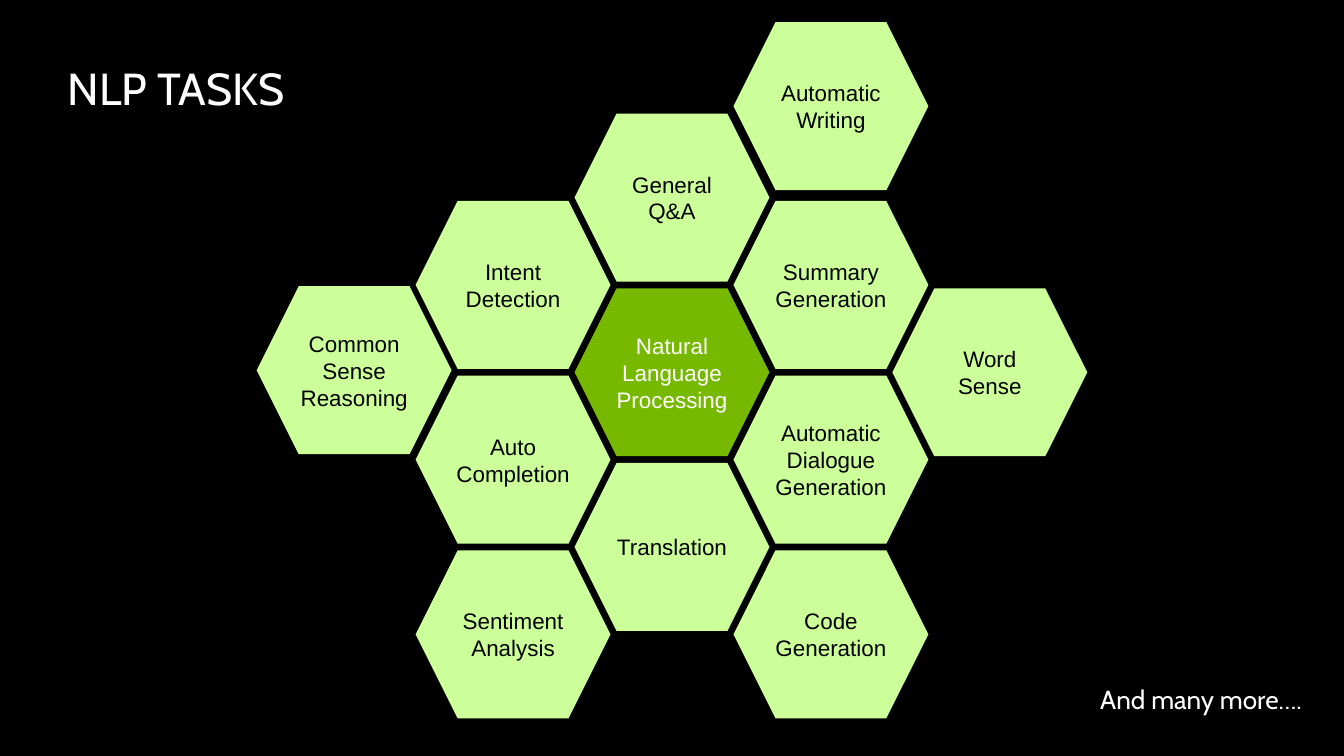
from pptx import Presentation
from pptx.dml.color import RGBColor as Rgb
from pptx.enum.shapes import MSO_SHAPE as Shape
from pptx.enum.text import MSO_ANCHOR as Anchor, MSO_AUTO_SIZE as Fit, PP_ALIGN as Align
from pptx.util import Inches, Pt

COLORS = {"back": "000000", "core": "76B900", "task": "CCFF99",
          "dark": "000000", "light": "FFFFFF"}

HEX_W, HEX_H = 2.9, 2.5
COL_STEP, ROW_STEP = 2.365, 1.3  # one column across, half a cell down

# label, columns and half rows from the core, small vertical shift
TASKS = [
    ("General Q&A", 0, -2, 0),
    ("Translation", 0, 2, 0),
    ("Summary Generation", 1, -1, 0),
    ("Automatic Dialogue Generation", 1, 1, 0),
    ("Intent Detection", -1, -1, 0),
    ("Auto Completion", -1, 1, 0),
    ("Word Sense", 2, 0, 0),
    ("Code Generation", 1, 3, 0),
    ("Common Sense Reasoning", -2, 0, -0.03),
    ("Automatic Writing", 1, -3, -0.06),
    ("Sentiment Analysis", -1, 3, 0),
]


def color(name):
    return Rgb.from_string(COLORS[name])


def write(shape, text, font, size, ink, align, anchor, spacing=None):
    frame = shape.text_frame
    frame.word_wrap = True
    frame.auto_size = Fit.NONE
    frame.vertical_anchor = anchor
    para = frame.paragraphs[0]
    para.text = text
    para.alignment = align
    if spacing:
        para.line_spacing = spacing
    para.font.name = font
    para.font.size = Pt(size)
    para.font.color.rgb = color(ink)


def add_cell(slide, text, left, top, fill, ink):
    cell = slide.shapes.add_shape(Shape.HEXAGON, Inches(left), Inches(top),
                                  Inches(HEX_W), Inches(HEX_H))
    cell.adjustments[0] = 0.25
    cell.shadow.inherit = False
    cell.fill.solid()
    cell.fill.fore_color.rgb = color(fill)
    cell.line.fill.background()
    write(cell, text, "Arial", 24, ink, Align.CENTER, Anchor.MIDDLE)


def add_comb(slide, left, top):
    """Place the core cell at left, top and the tasks around it."""
    add_cell(slide, "Natural Language Processing", left, top, "core", "light")
    for text, col, row, shift in TASKS:
        add_cell(slide, text, left + col * COL_STEP,
                 top + row * ROW_STEP + shift, "task", "dark")


def add_title(slide, left, top, width, height):
    title = slide.shapes.title
    title.left, title.top = Inches(left), Inches(top)
    title.width, title.height = Inches(width), Inches(height)
    write(title, "NLP TASKS", "Cabin", 48, "light", Align.LEFT, Anchor.TOP, 0.9)


def add_note(slide, left, top, width, height):
    note = slide.shapes.add_textbox(Inches(left), Inches(top),
                                    Inches(width), Inches(height))
    write(note, "And many more….", "Cabin", 28, "light",
          Align.CENTER, Anchor.MIDDLE, 0.9)


def main():
    deck = Presentation()
    deck.slide_width, deck.slide_height = Inches(20), Inches(11.25)
    slide = deck.slides.add_slide(deck.slide_layouts[5])
    slide.background.fill.solid()
    slide.background.fill.fore_color.rgb = color("back")

    # Heading, honeycomb of tasks, closing remark
    add_title(slide, 0.91, 0.95, 5.17, 1.08)
    add_comb(slide, 8.55, 4.29)
    add_note(slide, 16.18, 10.16, 3.38, 0.53)
    deck.save("out.pptx")


if __name__ == "__main__":
    main()
